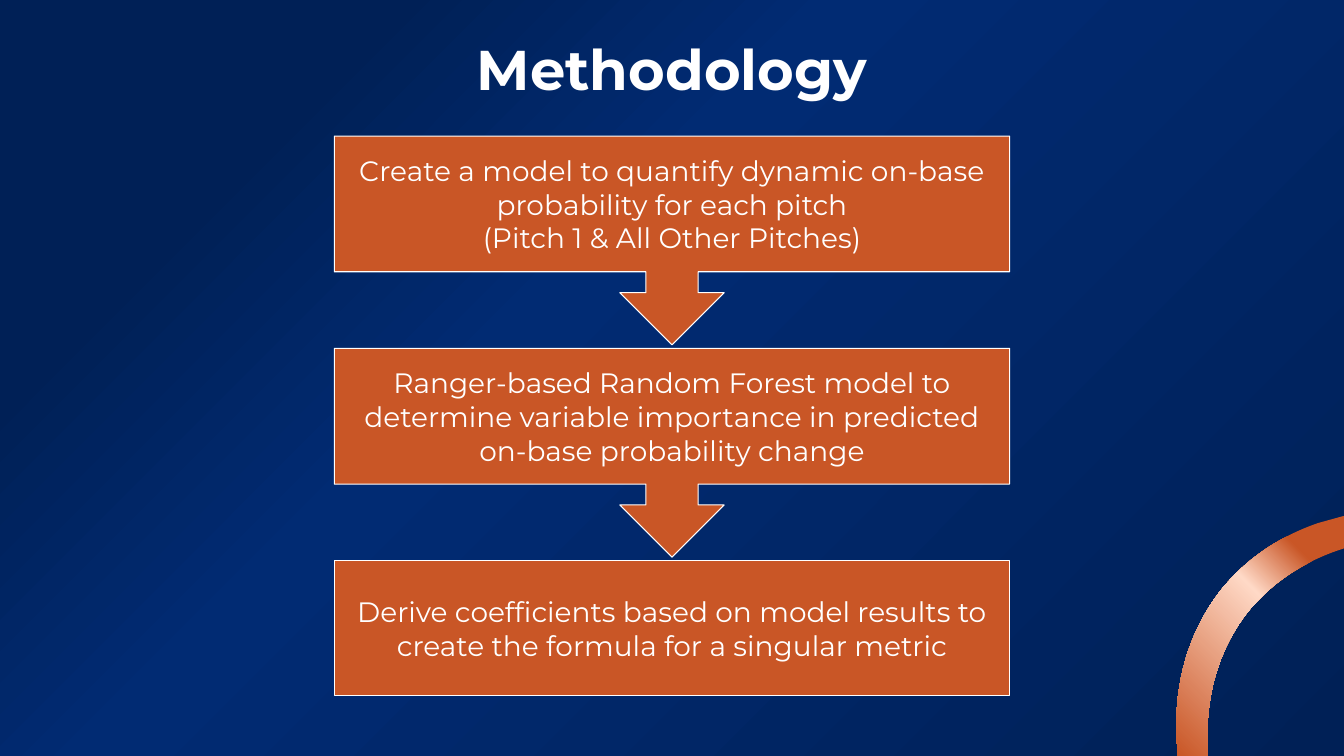
from dataclasses import dataclass
from typing import Iterator
from lxml.etree import SubElement
from pptx import Presentation
from pptx.dml.color import RGBColor as Rgb
from pptx.enum.shapes import MSO_SHAPE as Kind
from pptx.enum.text import MSO_ANCHOR as Anchor, MSO_AUTO_SIZE as Fit, PP_ALIGN as Align
from pptx.oxml.ns import qn
from pptx.slide import Slide
from pptx.text.text import TextFrame as Frame
from pptx.util import Cm, Pt

Point = tuple[float, float]
Stops = tuple[tuple[int, str], ...]


@dataclass(frozen=True)
class Theme:
    font: str = "Montserrat"
    head: int = 40
    body: int = 20
    edge: float = 0.75
    white: str = "FFFFFF"
    rust: str = "C95626"
    night: Stops = ((0, "002056"), (19, "002056"), (40, "012B73"), (100, "002056"))
    glow: Stops = ((0, "C95626"), (19, "C95626"), (40, "FFD9C6"), (100, "C95626"))


@dataclass(frozen=True)
class Step:
    lines: tuple[str, ...]
    kind: Kind = Kind.DOWN_ARROW_CALLOUT
    height: float = 5.26


THEME = Theme()
WIDE, HIGH = 33.87, 19.05
BOX, TOP, PITCH = 17.02, 3.43, 5.35
STEPS = (
    Step(("Create a model to quantify dynamic on-base probability for each pitch",
          "(Pitch 1 & All Other Pitches)")),
    Step(("Ranger-based Random Forest model to determine variable importance "
          "in predicted on-base probability change",)),
    Step(("Derive coefficients based on model results to create the formula "
          "for a singular metric",), Kind.RECTANGLE, 3.4),
)
OUTER = (
    ((29.67, 18.85), (29.54, 17.35), (29.92, 15.95), (30.78, 14.86)),
    ((30.78, 14.86), (31.42, 14.07), (32.26, 13.51), (33.22, 13.18)),
)
INNER = (
    ((33.66, 13.89), (32.79, 14.2), (32.03, 14.71), (31.47, 15.39)),
    ((31.47, 15.39), (30.71, 16.33), (30.38, 17.53), (30.43, 18.8)),
)


def blend(fill, root, stops: Stops, angle: int) -> None:
    fill.gradient()
    fill.gradient_angle = 360 - angle
    ramp = next(root.iter(qn("a:gsLst")))
    for old in list(ramp):
        ramp.remove(old)
    for place, tint in stops:
        stop = SubElement(ramp, qn("a:gs"), pos=str(place * 1000))
        SubElement(stop, qn("a:srgbClr"), val=tint)


def write(frame: Frame, lines: tuple[str, ...], size: int, bold: bool = False) -> None:
    frame.word_wrap = True
    for rank, line in enumerate(lines):
        para = frame.add_paragraph() if rank else frame.paragraphs[0]
        para.alignment = Align.CENTER
        run = para.add_run()
        run.text = line
        run.font.name = THEME.font
        run.font.size = Pt(size)
        run.font.bold = bold
        run.font.color.rgb = Rgb.from_string(THEME.white)


def trace(curves: tuple[tuple[Point, ...], ...], parts: int = 24) -> Iterator[Point]:
    for curve in curves:
        for part in range(parts + 1):
            t = part / parts
            mix = ((1 - t) ** 3, 3 * t * (1 - t) ** 2, 3 * t * t * (1 - t), t ** 3)
            yield (sum(m * p[0] for m, p in zip(mix, curve)),
                   sum(m * p[1] for m, p in zip(mix, curve)))


def draw_ring(slide: Slide) -> None:
    rim = [(29.67, HIGH), *trace(OUTER), (WIDE, 13), (WIDE, 13.82), *trace(INNER)]
    pen = slide.shapes.build_freeform(Cm(30.43), Cm(HIGH))
    pen.add_line_segments([(Cm(x), Cm(y)) for x, y in rim])
    ring = pen.convert_to_shape()
    ring.shadow.inherit = False
    ring.line.fill.background()
    blend(ring.fill, ring.element, THEME.glow, 135)


def draw_title(slide: Slide) -> None:
    title = slide.shapes.title
    title.left, title.top, title.width, title.height = Cm(7), Cm(0.74), Cm(19.86), Cm(1.96)
    frame = title.text_frame
    frame.auto_size = Fit.NONE
    frame.vertical_anchor = Anchor.TOP
    write(frame, ("Methodology",), THEME.head, True)


def draw_step(slide: Slide, step: Step, rank: int) -> None:
    box = slide.shapes.add_shape(step.kind, Cm((WIDE - BOX) / 2), Cm(TOP + rank * PITCH),
                                 Cm(BOX), Cm(step.height))
    box.shadow.inherit = False
    box.fill.solid()
    box.fill.fore_color.rgb = Rgb.from_string(THEME.rust)
    box.line.color.rgb = Rgb.from_string(THEME.white)
    box.line.width = Pt(THEME.edge)
    if step.kind == Kind.DOWN_ARROW_CALLOUT:
        for slot, value in enumerate((0.25, 0.25, 0.25, 0.65)):
            box.adjustments[slot] = value
    frame = box.text_frame
    frame.margin_left = frame.margin_right = Cm(0.25)
    frame.margin_top = frame.margin_bottom = Cm(0.25)
    frame.vertical_anchor = Anchor.MIDDLE
    write(frame, step.lines, THEME.body)


def main() -> None:
    deck = Presentation()
    deck.slide_width, deck.slide_height = Cm(WIDE), Cm(HIGH)
    slide = deck.slides.add_slide(deck.slide_layouts.get_by_name("Title Only"))
    blend(slide.background.fill, slide.element, THEME.night, 45)
    draw_ring(slide)
    draw_title(slide)
    for rank, step in enumerate(STEPS):
        draw_step(slide, step, rank)
    deck.save("out.pptx")


if __name__ == "__main__":
    main()
